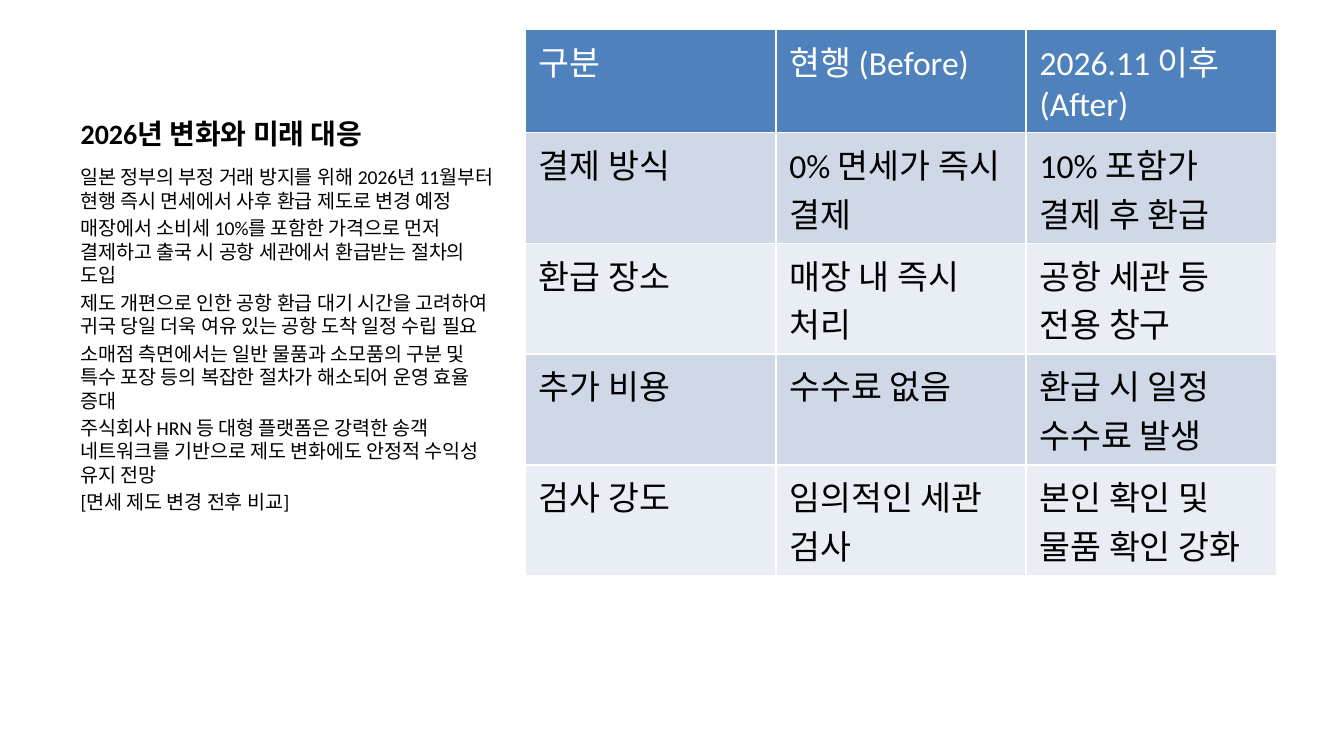
from pptx import Presentation
from pptx.dml.color import RGBColor
from pptx.enum.text import MSO_ANCHOR
from pptx.util import Inches, Pt

BLACK = RGBColor(0x00, 0x00, 0x00)
WHITE = RGBColor(0xFF, 0xFF, 0xFF)
HEADER_BLUE = RGBColor(0x4F, 0x81, 0xBD)
BAND_DARK = RGBColor(0xD0, 0xD8, 0xE8)
BAND_LIGHT = RGBColor(0xE9, 0xED, 0xF4)

TITLE = "2026년 변화와 미래 대응"
POINTS = [
    "일본 정부의 부정 거래 방지를 위해 2026년 11월부터 현행 즉시 면세에서 사후 환급 제도로 변경 예정",
    "매장에서 소비세 10%를 포함한 가격으로 먼저 결제하고 출국 시 공항 세관에서 환급받는 절차의 도입",
    "제도 개편으로 인한 공항 환급 대기 시간을 고려하여 귀국 당일 더욱 여유 있는 공항 도착 일정 수립 필요",
    "소매점 측면에서는 일반 물품과 소모품의 구분 및 특수 포장 등의 복잡한 절차가 해소되어 운영 효율 증대",
    "주식회사 HRN 등 대형 플랫폼은 강력한 송객 네트워크를 기반으로 제도 변화에도 안정적 수익성 유지 전망",
    "[면세 제도 변경 전후 비교]",
]
COMPARISON = [
    ["구분", "현행 (Before)", "2026.11 이후 (After)"],
    ["결제 방식", "0% 면세가 즉시 결제", "10% 포함가 결제 후 환급"],
    ["환급 장소", "매장 내 즉시 처리", "공항 세관 등 전용 창구"],
    ["추가 비용", "수수료 없음", "환급 시 일정 수수료 발생"],
    ["검사 강도", "임의적인 세관 검사", "본인 확인 및 물품 확인 강화"],
]


class SlideBuilder:
    font_name = "Calibri"

    def __init__(self, slide):
        self.slide = slide

    def format_runs(self, paragraph, size, color, bold=False):
        for run in paragraph.runs:
            run.font.name = self.font_name
            run.font.size = Pt(size)
            run.font.bold = bold
            run.font.color.rgb = color

    def fill_placeholder(self, index, box, lines, size, anchor, bold=False):
        shape = self.slide.placeholders[index]
        shape.left, shape.top, shape.width, shape.height = map(Inches, box)
        text_frame = shape.text_frame
        text_frame.text = "\n".join(lines)
        text_frame.vertical_anchor = anchor
        for paragraph in text_frame.paragraphs:
            self.format_runs(paragraph, size, BLACK, bold)

    def remove_placeholder(self, index):
        element = self.slide.placeholders[index].element
        element.getparent().remove(element)

    def add_table(self, box, rows, size):
        frame = self.slide.shapes.add_table(len(rows), len(rows[0]), *map(Inches, box))
        table = frame.table
        for row_index, texts in enumerate(rows):
            table.rows[row_index].height = Inches(0)
            if row_index == 0:
                fill_color, text_color = HEADER_BLUE, WHITE
            else:
                fill_color = BAND_DARK if row_index % 2 else BAND_LIGHT
                text_color = BLACK
            for column_index, text in enumerate(texts):
                cell = table.cell(row_index, column_index)
                cell.fill.solid()
                cell.fill.fore_color.rgb = fill_color
                cell.text_frame.text = text
                self.format_runs(cell.text_frame.paragraphs[0], size, text_color)
        frame.height = Inches(box[3])


def main():
    presentation = Presentation()
    presentation.slide_width = Inches(10)
    presentation.slide_height = presentation.slide_width * 9 // 16
    layout = presentation.slide_layouts.get_by_name("Content with Caption")
    builder = SlideBuilder(presentation.slides.add_slide(layout))
    builder.remove_placeholder(1)
    builder.fill_placeholder(0, (0.5, 0.22, 3.29, 0.95), [TITLE], 15, MSO_ANCHOR.BOTTOM, True)
    builder.fill_placeholder(2, (0.5, 1.18, 3.29, 3.85), POINTS, 10.5, MSO_ANCHOR.TOP)
    builder.add_table((3.91, 0.22, 5.59, 4.8), COMPARISON, 18)
    presentation.save("out.pptx")


if __name__ == "__main__":
    main()
